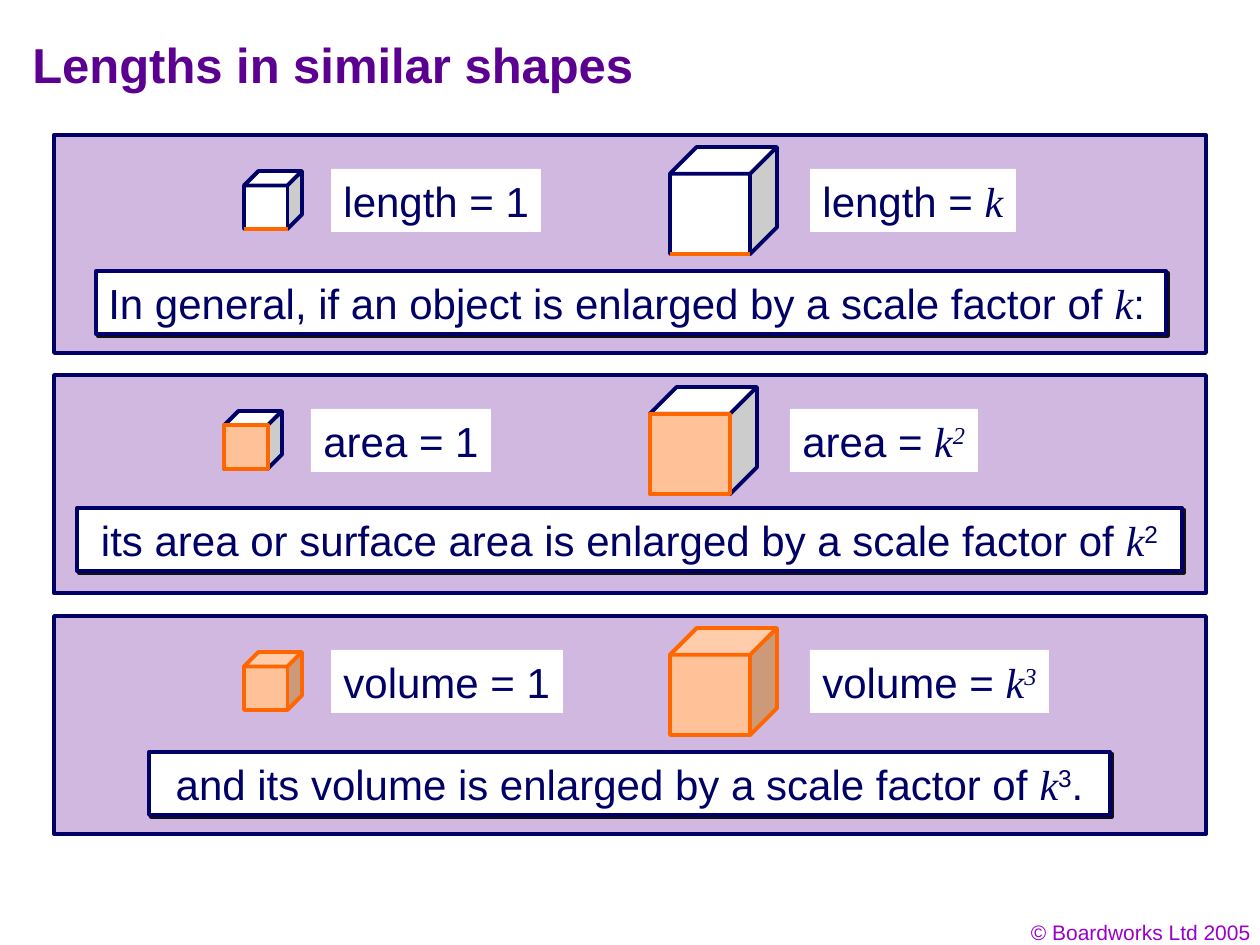
from dataclasses import dataclass

from lxml.etree import SubElement
from pptx import Presentation
from pptx.dml.color import RGBColor
from pptx.enum.shapes import MSO_CONNECTOR, MSO_SHAPE
from pptx.enum.text import MSO_ANCHOR, MSO_AUTO_SIZE, PP_ALIGN
from pptx.oxml.ns import qn
from pptx.util import Pt

TITLE = "Lengths in similar shapes"
COPYRIGHT = "© Boardworks Ltd 2005"
PANELS = [
    {
        "top": 135, "shift": 0, "highlight": "edge",
        "labels": [(210, [("length = 1", "plain")]),
                   (206, [("length = ", "plain"), ("k", "symbol")])],
        "banner": (96, 136, 1070, PP_ALIGN.LEFT),
        "statement": [("In general, if an object is enlarged by a scale factor of ", "plain"),
                      ("k", "symbol"), (":", "plain")],
    },
    {
        "top": 375, "shift": -20, "highlight": "face",
        "labels": [(180, [("area = 1", "plain")]),
                   (188, [("area = ", "plain"), ("k", "symbol"), ("2", "symbol power")])],
        "banner": (77, 133, 1105, PP_ALIGN.CENTER),
        "statement": [("its area or surface area is enlarged by a scale factor of ", "plain"),
                      ("k", "symbol"), ("2", "power")],
    },
    {
        "top": 616, "shift": 0, "highlight": "solid",
        "labels": [(232, [("volume = 1", "plain")]),
                   (239, [("volume = ", "plain"), ("k", "symbol"), ("3", "symbol power")])],
        "banner": (149, 136, 961, PP_ALIGN.CENTER),
        "statement": [("and its volume is enlarged by a scale factor of ", "plain"),
                      ("k", "symbol"), ("3", "power"), (".", "plain")],
    },
]
CUBES = [(244, 36, 58), (670, 12, 107)]
LABEL_LEFTS = [331, 810]
LABEL_OFFSET = 34
BOX_HEIGHT = 63
PANEL_LEFT, PANEL_WIDTH, PANEL_HEIGHT = 54, 1152, 218
CUBE_DEPTH = 0.25
EMU_PER_PX = 914400 / 126


@dataclass(frozen=True)
class Theme:
    title: str = "5B0091"
    copyright: str = "9900CC"
    navy: str = "000066"
    label: str = "010066"
    panel: str = "D0B8E0"
    white: str = "FFFFFF"
    orange: str = "FF6600"
    peach: str = "FFC197"
    shadow: str = "111111"
    title_size: int = 28
    body_size: int = 24
    copyright_size: int = 12
    line_width: float = 2.25
    sans: str = "Arial"
    serif: str = "Times New Roman"


THEME = Theme()


def px(*lengths):
    return [round(length * EMU_PER_PX) for length in lengths]


def add_box(slide, kind, box, fill, line=None):
    shape = slide.shapes.add_shape(kind, *px(*box))
    shape.shadow.inherit = False
    shape.fill.solid()
    shape.fill.fore_color.rgb = RGBColor.from_string(fill)
    if line:
        shape.line.color.rgb = RGBColor.from_string(line)
        shape.line.width = Pt(THEME.line_width)
    else:
        shape.line.fill.background()
    return shape


def write(shape, runs, color, size=THEME.body_size, align=PP_ALIGN.LEFT,
          wrap=True, anchor=MSO_ANCHOR.TOP, bold=False):
    frame = shape.text_frame
    frame.word_wrap = wrap
    frame.auto_size = MSO_AUTO_SIZE.NONE
    frame.vertical_anchor = anchor
    paragraph = frame.paragraphs[0]
    paragraph.alignment = align
    for text, style in runs:
        run = paragraph.add_run()
        run.text = text
        symbol = style.startswith("symbol")
        run.font.name = THEME.serif if symbol else THEME.sans
        run.font.italic = symbol
        run.font.bold = bold
        run.font.size = Pt(size)
        run.font.color.rgb = RGBColor.from_string(color)
        if style.endswith("power"):
            run.font._element.set("baseline", "30000")


def add_shadow(shape):
    effects = shape._element.spPr.find(qn("a:effectLst"))
    shadow = SubElement(effects, qn("a:outerShdw"), blurRad="0", dist=str(Pt(1.4)),
                        dir="2700000", algn="ctr", rotWithShape="0")
    SubElement(shadow, qn("a:srgbClr"), val=THEME.shadow)


def add_edge(slide, left, right, y):
    edge = slide.shapes.add_connector(MSO_CONNECTOR.STRAIGHT, *px(left, y, right, y))
    edge.line.color.rgb = RGBColor.from_string(THEME.orange)
    edge.line.width = Pt(THEME.line_width)
    SubElement(edge._element.spPr, qn("a:effectLst"))


def add_cube(slide, left, top, side, highlight):
    solid = highlight == "solid"
    cube = add_box(slide, MSO_SHAPE.CUBE, (left, top, side, side),
                   THEME.peach if solid else THEME.white,
                   THEME.orange if solid else THEME.navy)
    cube.adjustments[0] = CUBE_DEPTH
    face = round(side * (1 - CUBE_DEPTH))
    if highlight == "edge":
        add_edge(slide, left, left + face, top + side)
    elif highlight == "face":
        add_box(slide, MSO_SHAPE.RECTANGLE, (left, top + side - face, face, face),
                THEME.peach, THEME.orange)


def add_panel(slide, panel):
    top, shift = panel["top"], panel["shift"]
    add_box(slide, MSO_SHAPE.RECTANGLE, (PANEL_LEFT, top, PANEL_WIDTH, PANEL_HEIGHT),
            THEME.panel, THEME.navy)
    left, offset, width, align = panel["banner"]
    banner = add_box(slide, MSO_SHAPE.RECTANGLE, (left, top + offset, width, BOX_HEIGHT),
                     THEME.white, THEME.navy)
    add_shadow(banner)
    write(banner, panel["statement"], THEME.navy, align=align)
    for cube, label_left, (width, runs) in zip(CUBES, LABEL_LEFTS, panel["labels"]):
        left, offset, side = cube
        add_cube(slide, left + shift, top + offset, side, panel["highlight"])
        label = add_box(slide, MSO_SHAPE.RECTANGLE,
                        (label_left + shift, top + LABEL_OFFSET, width, BOX_HEIGHT), THEME.white)
        write(label, runs, THEME.label, wrap=False)


def main():
    presentation = Presentation()
    presentation.slide_width, presentation.slide_height = px(1260, 945)
    slide = presentation.slides.add_slide(presentation.slide_layouts[6])
    copyright_line = slide.shapes.add_textbox(*px(969, 913, 294, 38))
    write(copyright_line, [(COPYRIGHT, "plain")], THEME.copyright,
          THEME.copyright_size, PP_ALIGN.RIGHT)
    title = slide.shapes.add_textbox(*px(20, 20, 1013, 87))
    write(title, [(TITLE, "plain")], THEME.title, THEME.title_size,
          anchor=MSO_ANCHOR.MIDDLE, bold=True)
    for panel in PANELS:
        add_panel(slide, panel)
    presentation.save("out.pptx")


if __name__ == "__main__":
    main()
